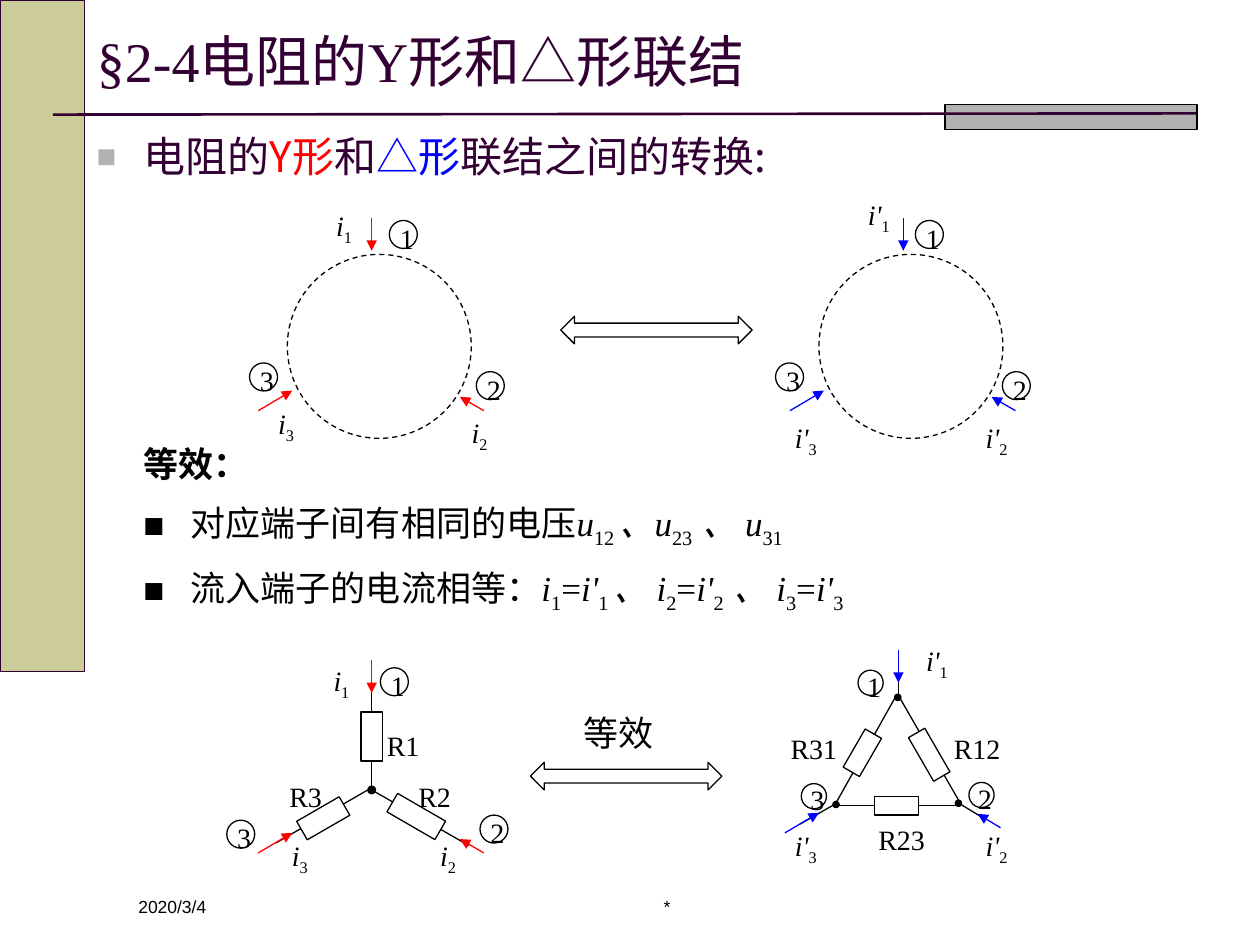
from lxml import etree
from pptx import Presentation
from pptx.dml.color import RGBColor
from pptx.enum.dml import MSO_LINE
from pptx.enum.shapes import MSO_CONNECTOR, MSO_SHAPE
from pptx.enum.text import MSO_ANCHOR, PP_ALIGN
from pptx.oxml.ns import qn
from pptx.util import Pt

RECT, OVAL, DOUBLE_ARROW = MSO_SHAPE.RECTANGLE, MSO_SHAPE.OVAL, MSO_SHAPE.LEFT_RIGHT_ARROW
STRAIGHT, DASH = MSO_CONNECTOR.STRAIGHT, MSO_LINE.DASH
LEFT, CENTER, MIDDLE = PP_ALIGN.LEFT, PP_ALIGN.CENTER, MSO_ANCHOR.MIDDLE
BLACK, WHITE, RED, BLUE = "000000", "FFFFFF", "FF0000", "0000FF"
PLUM, KHAKI, GREY = "330033", "CCCC99", "B2B2B2"
SERIF, SANS, CJK = "Times New Roman", "Arial", "Noto Sans CJK SC"

TITLE = "§2-4电阻的Y形和△形联结"
HEADING = [("电阻的", "", PLUM), ("Y形", "", RED), ("和", "", PLUM), ("△形", "", BLUE),
           ("联结之间的转换:", "", PLUM)]
CONDITIONS = [
    [("等效：", "bold")],
    [("对应端子间有相同的电压", ""), ("u", "italic"), ("12 ", "sub"), ("、u", "italic"),
     ("23", "sub"), (" 、", "italic sans"), (" u", "italic"), ("31", "sub")],
    [("流入端子的电流相等：", ""),
     ("i", "italic"), ("1", "sub"), ("=", ""), ("i'", "italic"), ("1 ", "sub"),
     ("、 ", "italic sans"),
     ("i", "italic"), ("2", "sub"), ("=", ""), ("i'", "italic"), ("2", "sub"),
     (" 、", "italic sans"),
     (" i", "italic"), ("3", "sub"), ("=", ""), ("i'", "italic"), ("3", "sub")],
]
FOOTERS = [("2020/3/4", 72, 156.2, LEFT), ("*", 264.2, 234, CENTER)]

TERMINAL_ARROWS = [(147.6, 234.7, 167, 223.2), (276.5, 234.7, 262.8, 226.8),
                   (212.4, 124.6, 212.4, 143.3)]
DELTA_ARROWS = [(513.4, 371.5, 513.4, 390.2), (448.6, 475.9, 468, 464.4),
                (571.7, 473, 558.7, 465.1)]
ARROW_SETS = [(TERMINAL_ARROWS, 0, 0, RED), (TERMINAL_ARROWS, 303.8, 0, BLUE),
              (TERMINAL_ARROWS, 0, 252.7, RED), (DELTA_ARROWS, 0, 0, BLUE)]

OUTER_TERMINALS = [(222.5, 126), (272.2, 212.4), (142.6, 207.4)]
Y_TERMINALS = [(217.4, 381.6), (274.3, 465.8), (129.6, 468.7)]
DELTA_TERMINALS = [(490.3, 383), (553.7, 447.1), (457.9, 447.8)]
TERMINAL_SETS = [(OUTER_TERMINALS, 0, 16), (OUTER_TERMINALS, 300.6, 16),
                 (Y_TERMINALS, 0, 16), (DELTA_TERMINALS, 0, 14.4)]

WIRES = [(212.4, 395.3, 212.4, 450.7), (157.7, 481.7, 210.2, 451.4), (267.8, 483.1, 212.4, 451.4),
         (513.4, 375.1, 513.4, 396.7), (477.4, 460.1, 547.2, 460.1), (513.4, 397.4, 549.4, 460.1),
         (512.6, 396.7, 477.4, 459.4), (457.2, 470.9, 477.4, 459.4), (561.6, 467.3, 548.6, 459.4)]
RESISTORS = [(206.3, 406.8, 12.2, 28.1, 0), (178.6, 453.6, 12.2, 28.1, 60),
             (231.8, 450.7, 12.2, 31.7, 300), (525.6, 416.9, 10.8, 28.8, 330),
             (487.4, 417.6, 10.8, 25.2, 30), (506.9, 447.8, 10.8, 25.2, 90)]
NODES = [(212.4, 451.4, 4.3), (547.7, 459, 3.6), (513, 398.5, 3.6), (477.7, 459.7, 3.6)]

RESISTOR_LABELS = [("R23", 481.7, 466.6, 67), ("R31", 429.8, 414.7, 70.6),
                   ("R12", 535.7, 414.7, 45.4), ("R3", 153.4, 442.1, 42.5),
                   ("R1", 212.4, 412.6, 36), ("R2", 230.4, 442.1, 36)]
CURRENT_LABELS = [("i", 1, 177.1, 375.8, 36), ("i", 3, 147.6, 475.9, 47.5),
                  ("i", 2, 239.8, 475.9, 32.4), ("i'", 2, 552.2, 470.2, 34.6),
                  ("i'", 3, 442.1, 470.2, 36.7), ("i'", 1, 517, 364.3, 36.7),
                  ("i", 1, 178.6, 115.9, 36), ("i", 3, 139.7, 229, 47.5),
                  ("i", 2, 257.8, 234, 32.4), ("i'", 2, 552.2, 236.9, 34.6),
                  ("i'", 3, 442.1, 236.9, 36.7), ("i'", 1, 483.8, 109.4, 36.7)]


def rgb(value):
    """Turn a hex string into a colour."""
    return RGBColor.from_string(value)


def write(paragraph, runs, size, font=SERIF, align=LEFT):
    """Fill a paragraph with (text, style[, colour]) runs."""
    paragraph.alignment = align
    for text, style, *colour in runs:
        run = paragraph.add_run()
        run.text = text
        run.font.size = Pt(size)
        run.font.bold = "bold" in style
        run.font.italic = "italic" in style
        run.font.color.rgb = rgb(colour[0] if colour else BLACK)
        run.font.name = SANS if "sans" in style else font
        properties = run.font._element
        etree.SubElement(properties, qn("a:ea"), typeface=CJK)
        if "sub" in style:
            properties.set("baseline", "-25000")


def bullet(paragraph, colour, percent):
    """Give a paragraph a hanging square bullet."""
    properties = paragraph._p.get_or_add_pPr()
    properties.set("marL", str(Pt(27)))
    properties.set("indent", str(-Pt(27)))
    holder = etree.SubElement(properties, qn("a:buClr"))
    etree.SubElement(holder, qn("a:srgbClr"), val=colour)
    etree.SubElement(properties, qn("a:buSzPct"), val=str(percent * 1000))
    etree.SubElement(properties, qn("a:buFont"), typeface=SANS)
    etree.SubElement(properties, qn("a:buChar"), char="■")


def text_box(slide, x, y, w, h):
    """Add a wrapping text box and return its frame."""
    frame = slide.shapes.add_textbox(Pt(x), Pt(y), Pt(w), Pt(h)).text_frame
    frame.word_wrap = True
    return frame


def outline(slide, kind, x, y, w, h, fill=None, colour=BLACK):
    """Add a thin-lined preset shape, hollow unless a fill is given."""
    shape = slide.shapes.add_shape(kind, Pt(x), Pt(y), Pt(w), Pt(h))
    shape.shadow.inherit = False
    if fill:
        shape.fill.solid()
        shape.fill.fore_color.rgb = rgb(fill)
    else:
        shape.fill.background()
    shape.line.color.rgb = rgb(colour)
    shape.line.width = Pt(0.75)
    return shape


def line(slide, x1, y1, x2, y2, colour=BLACK, width=0.75, arrow=False):
    """Add a straight line, with an arrowhead at its end if asked."""
    connector = slide.shapes.add_connector(STRAIGHT, Pt(x1), Pt(y1), Pt(x2), Pt(y2))
    connector.line.color.rgb = rgb(colour)
    connector.line.width = Pt(width)
    if arrow:
        etree.SubElement(connector.line._get_or_add_ln(), qn("a:tailEnd"), type="triangle")
    etree.SubElement(connector._element.spPr, qn("a:effectLst"))


def add_texts(slide):
    """Place the title, the heading, the conditions and the footers."""
    title = slide.shapes.title
    title.left, title.top, title.width, title.height = Pt(48.2), Pt(15.1), Pt(635.8), Pt(38.2)
    title.text_frame.vertical_anchor = MIDDLE
    write(title.text_frame.paragraphs[0], [(TITLE, "", PLUM)], 32)

    heading = text_box(slide, 48.2, 71.3, 635.8, 40).paragraphs[0]
    bullet(heading, GREY, 78)
    write(heading, HEADING, 24, CJK)

    frame = text_box(slide, 74.9, 249.1, 500.4, 140.4)
    for index, runs in enumerate(CONDITIONS):
        paragraph = frame.add_paragraph() if index else frame.paragraphs[0]
        if index:
            bullet(paragraph, BLACK, 100)
            paragraph.space_before = Pt(10)
        write(paragraph, runs, 20)

    for text, x, w, align in FOOTERS:
        write(text_box(slide, x, 508.3, w, 20.2).paragraphs[0], [(text, "")], 10, SANS, align)


def add_circuits(slide):
    """Draw the equivalent networks with their terminals and labels."""
    for x in (164.2, 468):
        outline(slide, OVAL, x, 145.4, 105.1, 105.1).line.dash_style = DASH
    for x, y in ((320.4, 180.7), (303.1, 435.6)):
        outline(slide, DOUBLE_ARROW, x, y, 109.4, 15.8)
    write(text_box(slide, 306.7, 403.2, 93.6, 31.7).paragraphs[0], [("等效", "")], 20, align=CENTER)

    for wire in WIRES:
        line(slide, *wire)
    for x, y, w, h, angle in RESISTORS:
        outline(slide, RECT, x, y, w, h, WHITE).rotation = angle
    for x, y, size in NODES:
        outline(slide, OVAL, x - size / 2, y - size / 2, size, size, BLACK)
    for arrows, dx, dy, colour in ARROW_SETS:
        for x1, y1, x2, y2 in arrows:
            line(slide, x1 + dx, y1 + dy, x2 + dx, y2 + dy, colour, arrow=True)

    for terminals, dx, size in TERMINAL_SETS:
        for number, (x, y) in enumerate(terminals, 1):
            frame = outline(slide, OVAL, x + dx, y, size, size).text_frame
            frame.word_wrap = False
            frame.vertical_anchor = MIDDLE
            frame.margin_left = frame.margin_top = Pt(4)
            frame.margin_right = frame.margin_bottom = 0
            write(frame.paragraphs[0], [(str(number), "")], 16, align=CENTER)

    labels = [([(name, "")], *place) for name, *place in RESISTOR_LABELS]
    labels += [([(symbol, "italic"), (str(number), "sub")], *place)
               for symbol, number, *place in CURRENT_LABELS]
    for runs, x, y, w in labels:
        write(text_box(slide, x, y, w, 26.6).paragraphs[0], runs, 16, align=CENTER)


def main():
    """Build the slide and save it."""
    deck = Presentation()
    deck.slide_width, deck.slide_height = Pt(720), Pt(540)
    slide = deck.slides.add_slide(deck.slide_layouts[5])
    outline(slide, RECT, 0, 0, 48.2, 383.8, KHAKI, PLUM)
    outline(slide, RECT, 540, 59.8, 144, 14.4, GREY)
    line(slide, 30.2, 65.5, 683.3, 64.8, PLUM, 1.5)
    add_texts(slide)
    add_circuits(slide)
    deck.save("out.pptx")


if __name__ == "__main__":
    main()
